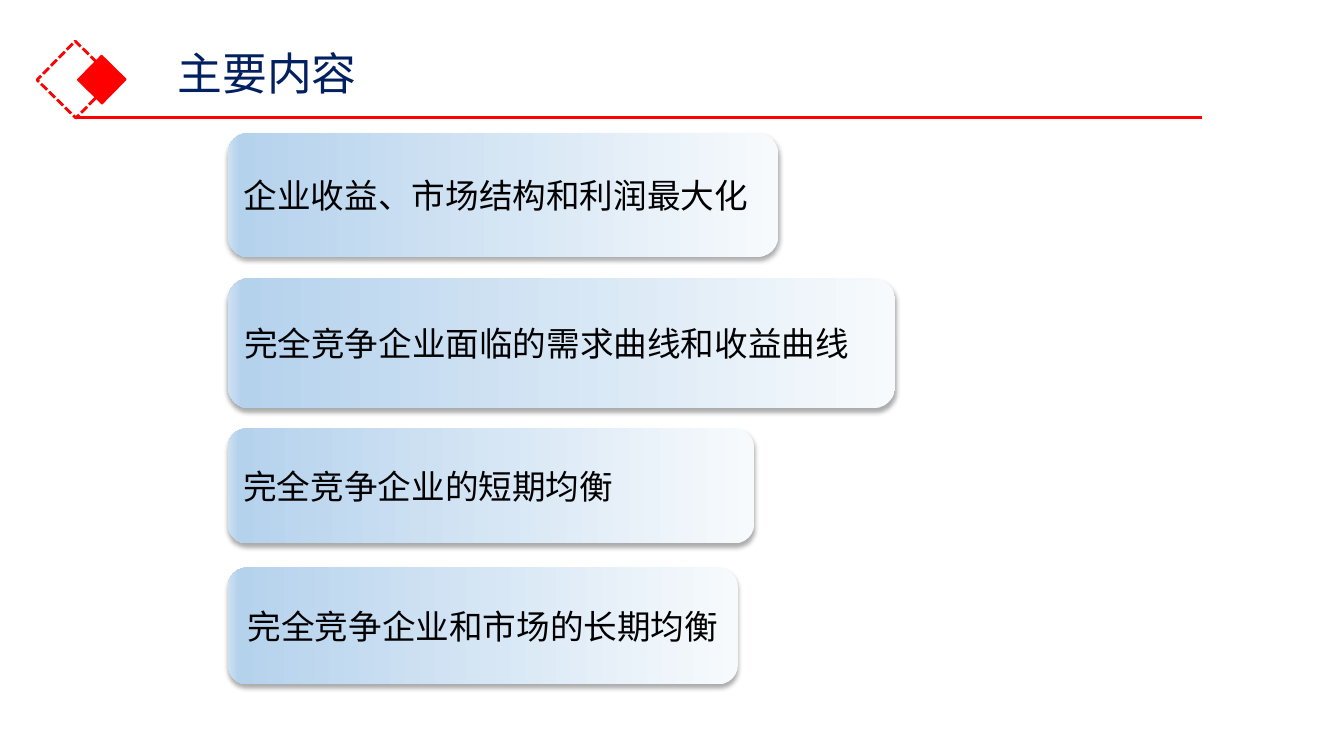
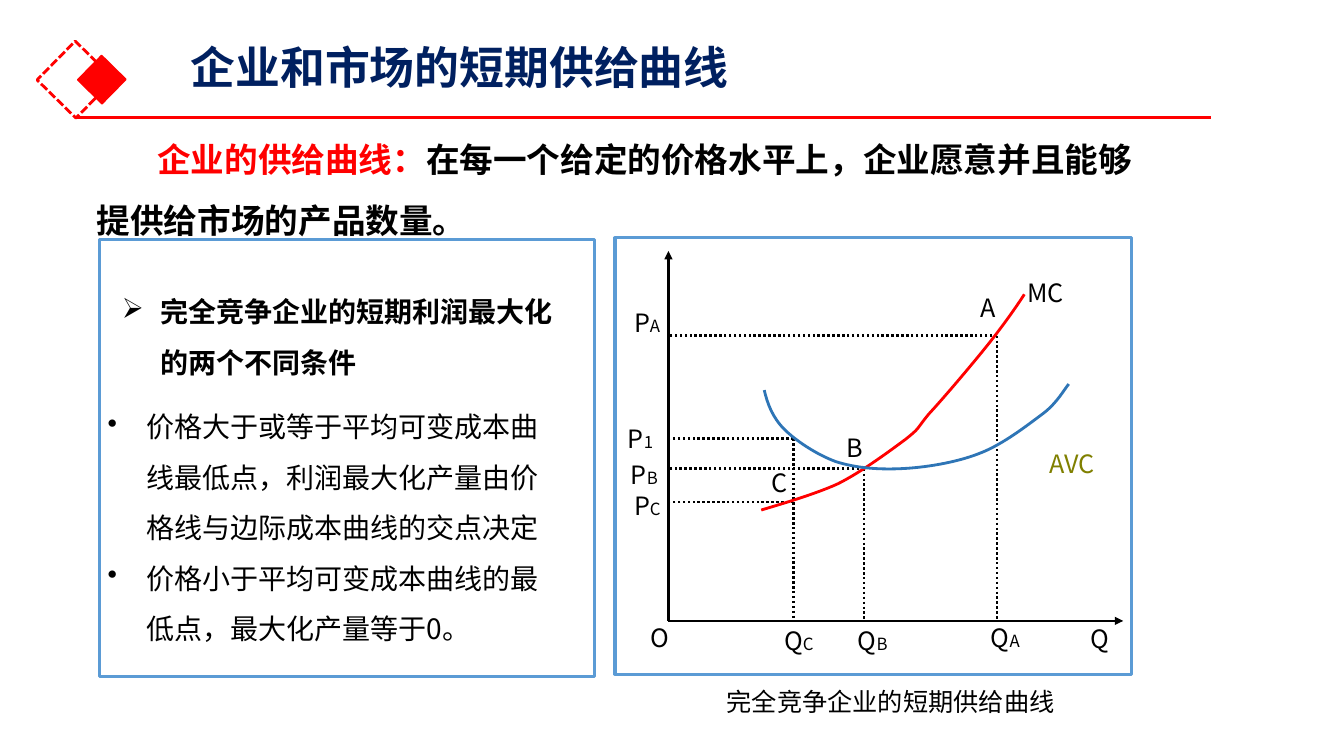
from dataclasses import dataclass

from lxml import etree
from pptx import Presentation
from pptx.dml.color import RGBColor
from pptx.enum.dml import MSO_LINE
from pptx.enum.shapes import MSO_CONNECTOR, MSO_SHAPE
from pptx.enum.text import MSO_ANCHOR, PP_ALIGN
from pptx.oxml.ns import qn
from pptx.util import Inches, Pt

LEFT, CENTER = PP_ALIGN.LEFT, PP_ALIGN.CENTER
TOP, MIDDLE = MSO_ANCHOR.TOP, MSO_ANCHOR.MIDDLE
DASH, DOT = MSO_LINE.SQUARE_DOT, MSO_LINE.ROUND_DOT
RECTANGLE, ROUNDED = MSO_SHAPE.RECTANGLE, MSO_SHAPE.ROUNDED_RECTANGLE
STRAIGHT = MSO_CONNECTOR.STRAIGHT
TITLE_ONLY = 5


@dataclass(frozen=True)
class Theme:
    font: str = "Noto Sans CJK SC"
    navy: str = "002060"
    red: str = "FF0000"
    black: str = "000000"
    olive: str = "808000"
    curve_blue: str = "2E75B6"
    panel_blue: str = "5B9BD5"
    card_stops: tuple = ((0, "F7FAFD"), (98, "B5D2EC"), (100, "CEE1F2"))
    title: int = 32
    lead: int = 24
    body: int = 20
    label: int = 18
    subscript: int = 12
    lead_pitch: float = 43.5
    body_pitch: float = 36


THEME = Theme()

CARDS = [
    (1.32, 5.46, 1.23, "企业收益、市场结构和利润最大化", LEFT),
    (2.76, 6.62, 1.29, "完全竞争企业面临的需求曲线和收益曲线", LEFT),
    (4.25, 5.22, 1.14, "完全竞争企业的短期均衡", LEFT),
    (5.63, 5.06, 1.16, "完全竞争企业和市场的长期均衡", CENTER),
]

CONDITIONS = [
    "价格大于或等于平均可变成本曲线最低点，利润最大化产量由价格线与边际成本曲线的交点决定",
    "价格小于平均可变成本曲线的最低点，最大化产量等于0。",
]

# Positions in the supply diagram are inches from the corner of its panel.
ORIGIN = (0.53, 3.8)
AXIS_ENDS = [(0.53, 0.13), (5.04, 3.8)]
GUIDES = [  # x, y, drops to the quantity axis
    (3.79, 0.97, True),
    (2.47, 2.29, True),
    (1.77, 1.99, True),
    (1.77, 2.62, False),
]
MARGINAL_COST = [
    (1.45, 2.7), (1.58, 2.66), (1.97, 2.55), (2.21, 2.44),
    (2.45, 2.32), (2.73, 2.11), (2.88, 2.0),
    (3.03, 1.88), (2.98, 1.91), (3.11, 1.75),
    (3.25, 1.6), (3.53, 1.27), (3.69, 1.07),
    (3.85, 0.87), (3.99, 0.67), (4.06, 0.56),
]
AVERAGE_COST = [
    (1.48, 1.51), (1.51, 1.64), (1.56, 1.78), (1.68, 1.9),
    (1.79, 2.01), (2.0, 2.15), (2.19, 2.22),
    (2.38, 2.28), (2.59, 2.3), (2.83, 2.29),
    (3.07, 2.28), (3.38, 2.23), (3.61, 2.14),
    (3.85, 2.05), (4.1, 1.85), (4.25, 1.74),
    (4.39, 1.63), (4.45, 1.51), (4.5, 1.45),
]
LABELS = [  # left, middle, letter, subscript
    (0.09, 0.84, "P", "A"),
    (0.03, 1.99, "P", "1"),
    (0.06, 2.35, "P", "B"),
    (0.09, 2.65, "P", "C"),
    (1.58, 3.99, "Q", "C"),
    (2.31, 3.99, "Q", "B"),
    (3.63, 3.96, "Q", "A"),
    (4.62, 3.97, "Q", ""),
    (0.25, 3.96, "O", ""),
    (3.53, 0.69, "A", ""),
    (2.2, 2.08, "B", ""),
    (1.45, 2.43, "C", ""),
    (3.99, 0.54, "MC", ""),
    (4.21, 2.24, "AVC", ""),
]


def inches(*lengths):
    return [Inches(length) for length in lengths]


def set_values(target, **values):
    for name, value in values.items():
        setattr(target, name, value)


def add_span(para, text, size, color=THEME.black, bold=False):
    span = para.add_run()
    span.text = text
    set_values(span.font, name=THEME.font, size=Pt(size), bold=bold)
    span.font.color.rgb = RGBColor.from_string(color)
    east_asian = etree.SubElement(span.font._element, qn("a:ea"))
    east_asian.set("typeface", THEME.font)


def add_text(page, box, anchor=MIDDLE):
    """Add a wrapping text box and return its frame."""
    frame = page.shapes.add_textbox(*inches(*box)).text_frame
    set_values(frame, word_wrap=True, vertical_anchor=anchor)
    return frame


def add_bullet(para, mark, text, bold=False):
    properties = para._p.get_or_add_pPr()
    indent = Inches(0.38)
    properties.set("marL", str(indent))
    properties.set("indent", str(-indent))
    etree.SubElement(properties, qn("a:buChar")).set("char", mark)
    para.line_spacing = Pt(THEME.body_pitch)
    add_span(para, text, THEME.body, bold=bold)


def style_line(line, color, width, dash=None):
    line.color.rgb = RGBColor.from_string(color)
    set_values(line, width=Pt(width), dash_style=dash)


def add_line(page, start, end, color, width, dash=None, arrow=False):
    line = page.shapes.add_connector(STRAIGHT, *inches(*start, *end))
    style_line(line.line, color, width, dash)
    if arrow:
        head = etree.SubElement(line.line._get_or_add_ln(), qn("a:tailEnd"))
        head.set("type", "triangle")
    etree.SubElement(line._element.spPr, qn("a:effectLst"))


def add_rectangle(page, box, color, width, fill=None, dash=None):
    shape = page.shapes.add_shape(RECTANGLE, *inches(*box))
    shape.shadow.inherit = False
    if fill:
        shape.fill.solid()
        shape.fill.fore_color.rgb = RGBColor.from_string(fill)
    else:
        shape.fill.background()
    style_line(shape.line, color, width, dash)
    return shape


def add_color(parent, color):
    node = etree.SubElement(parent, qn("a:srgbClr"))
    node.set("val", color)
    return node


def add_curve(page, corner, points, color):
    """Draw cubic curves: a start, then two handles and an end for each."""
    left, top = corner
    places = [inches(left + x, top + y) for x, y in points]
    builder = page.shapes.build_freeform(*places[0])
    builder.add_line_segments(places[1:], close=False)
    curve = builder.convert_to_shape()
    curve.shadow.inherit = False
    curve.fill.background()
    style_line(curve.line, color, 2)
    outline = next(curve._element.iter(qn("a:path")))
    segments = outline.findall(qn("a:lnTo"))
    for first in range(0, len(segments), 3):
        cubic = etree.SubElement(outline, qn("a:cubicBezTo"))
        for segment in segments[first:first + 3]:
            cubic.append(segment[0])
            outline.remove(segment)


def add_page(deck, title, box, rule_end, bold=False):
    """Add a slide with its title, diamonds and red rule."""
    page = deck.slides.add_slide(deck.slide_layouts[TITLE_ONLY])
    holder = page.shapes.title
    left, top, width, height = inches(*box)
    set_values(holder, left=left, top=top, width=width, height=height)
    set_values(holder.text_frame, word_wrap=True, vertical_anchor=MIDDLE)
    para = holder.text_frame.paragraphs[0]
    para.alignment = LEFT
    add_span(para, title, THEME.title, THEME.navy, bold)

    outline = add_rectangle(page, (0.48, 0.52, 0.54, 0.54), THEME.red, 2, dash=DASH)
    solid = add_rectangle(page, (0.84, 0.62, 0.34, 0.34), THEME.red, 1, THEME.red)
    for diamond in (outline, solid):
        diamond.rotation = 314.5
    add_line(page, (0.75, 1.17), (rule_end, 1.17), THEME.red, 2.25)
    return page


def add_card(page, box, text, alignment):
    card = page.shapes.add_shape(ROUNDED, *inches(*box))
    card.line.fill.background()
    card.fill.gradient()
    card.fill.gradient_angle = 180
    stops = next(card._element.iter(qn("a:gsLst")))
    for stop in list(stops):
        stops.remove(stop)
    for percent, color in THEME.card_stops:
        stop = etree.SubElement(stops, qn("a:gs"))
        stop.set("pos", str(percent * 1000))
        add_color(stop, color)

    card.shadow.inherit = False
    effects = card._element.spPr.find(qn("a:effectLst"))
    shadow = etree.SubElement(effects, qn("a:outerShdw"))
    for name, value in {"blurRad": Pt(3.5), "dist": Pt(2.2), "dir": 5400000}.items():
        shadow.set(name, str(value))
    opacity = etree.SubElement(add_color(shadow, THEME.black), qn("a:alpha"))
    opacity.set("val", "32000")

    set_values(card.text_frame, word_wrap=True, vertical_anchor=MIDDLE)
    para = card.text_frame.paragraphs[0]
    para.alignment = alignment
    add_span(para, text, THEME.lead)


def add_definition(page, box):
    frame = add_text(page, box, TOP)
    set_values(frame, margin_left=Inches(0.07), margin_right=Inches(0.07),
               margin_top=Inches(0.04), margin_bottom=Inches(0.04))
    para = frame.paragraphs[0]
    para._p.get_or_add_pPr().set("indent", str(Inches(0.6)))
    para.line_spacing = Pt(THEME.lead_pitch)
    add_span(para, "企业的供给曲线：", THEME.lead, THEME.red, True)
    add_span(para, "在每一个给定的价格水平上，企业愿意并且能够提供给市场的产品数量。",
             THEME.lead, bold=True)


def add_conditions(page, box):
    left, top = box[:2]
    add_rectangle(page, box, THEME.panel_blue, 2.25)
    heading = add_text(page, (left + 0.12, top + 0.33, 4.66, 1.2), TOP)
    add_bullet(heading.paragraphs[0], "➢", "完全竞争企业的短期利润最大化的两个不同条件", True)
    frame = add_text(page, (left - 0.02, top + 1.47, 4.69, 2.63), TOP)
    for index, text in enumerate(CONDITIONS):
        para = frame.add_paragraph() if index else frame.paragraphs[0]
        add_bullet(para, "•", text)


def add_supply_diagram(page, box):
    left, top, _, height = box
    add_rectangle(page, box, THEME.panel_blue, 2.25)

    def draw(start, end, **style):
        add_line(page, (left + start[0], top + start[1]),
                 (left + end[0], top + end[1]), THEME.black, 1.75, **style)

    for end in AXIS_ENDS:
        draw(ORIGIN, end, arrow=True)
    for x, y, drops in GUIDES:
        draw((x, y), (ORIGIN[0], y), dash=DOT)
        if drops:
            draw((x, y), (x, ORIGIN[1]), dash=DOT)
    add_curve(page, (left, top), MARGINAL_COST, THEME.red)
    add_curve(page, (left, top), AVERAGE_COST, THEME.curve_blue)
    for x, middle, letter, subscript in LABELS:
        para = add_text(page, (left + x, top + middle - 0.2, 0.9, 0.4)).paragraphs[0]
        add_span(para, letter, THEME.label, THEME.olive if letter == "AVC" else THEME.black)
        if subscript:
            add_span(para, subscript, THEME.subscript)
    caption = add_text(page, (left + 1.01, top + height + 0.07, 3.6, 0.4))
    add_span(caption.paragraphs[0], "完全竞争企业的短期供给曲线", THEME.label)


def main():
    deck = Presentation()
    set_values(deck, slide_width=Inches(13.33), slide_height=Inches(7.5))

    contents = add_page(deck, "主要内容", (1.66, 0.4, 4.96, 0.64), 11.92)
    for top, width, height, text, alignment in CARDS:
        add_card(contents, (2.26, top, width, height), text, alignment)

    supply = add_page(deck, "企业和市场的短期供给曲线", (1.79, 0.34, 11.5, 0.64), 12.01, True)
    add_definition(supply, (0.89, 1.13, 10.63, 1.15))
    add_conditions(supply, (0.99, 2.38, 4.91, 4.33))
    add_supply_diagram(supply, (6.1, 2.36, 5.12, 4.33))

    deck.save("out.pptx")


if __name__ == "__main__":
    main()
